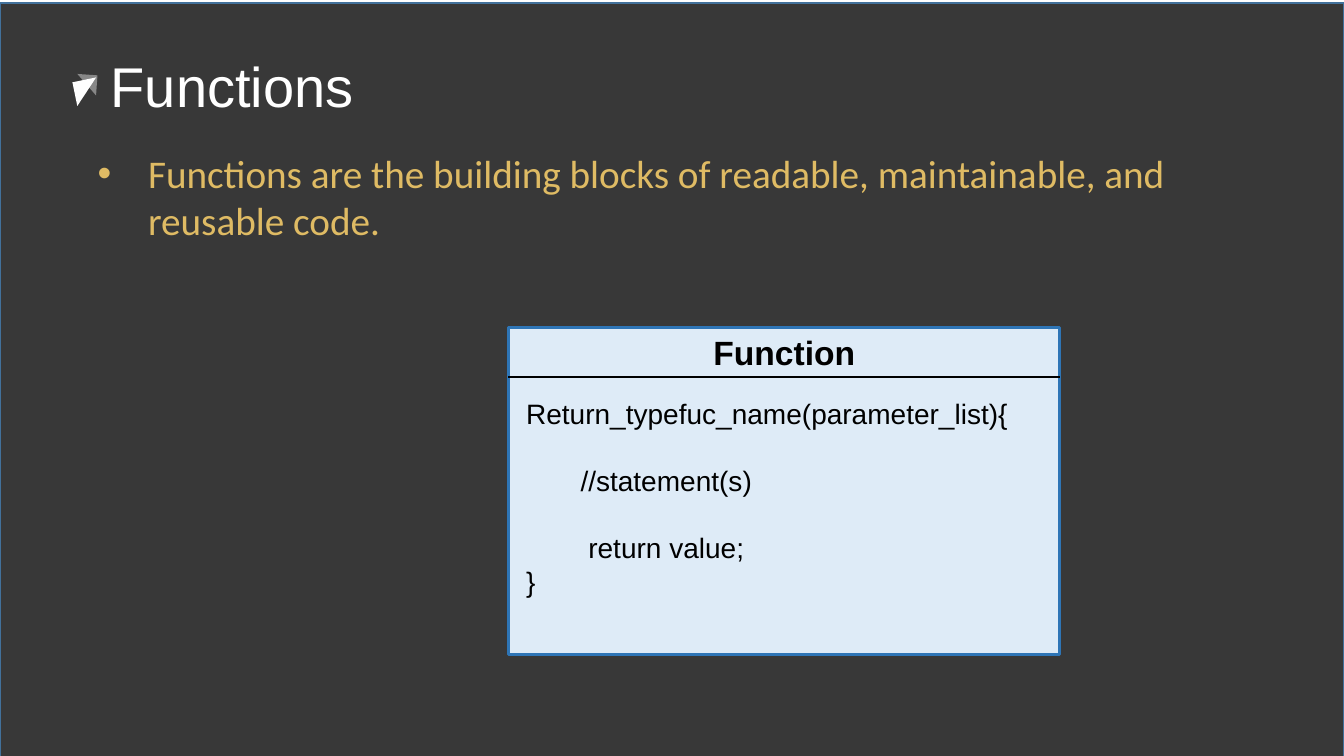
from lxml import etree
from pptx import Presentation
from pptx import util as u
from pptx.dml.color import RGBColor
from pptx.enum import shapes, text
from pptx.oxml import ns

TITLE = "Functions"
BULLET = "Functions are the building blocks of readable, maintainable, and reusable code."
CARD_TITLE = "Function"
CODE = [
    ("Return_typefuc_name(parameter_list){", 0),
    ("       //statement(s)", 24),
    ("        return value;", 24),
    ("}", 0),
]
MARKERS = [
    ((0.74, 0.79, 0.24, 0.24), 78.4, None),
    ((0.76, 0.74, 0.2, 0.2), 184, 40),
]
THEME = {
    "back": "383838", "back_line": "42719B", "gold": "DFBB64", "white": "FFFFFF",
    "card": "DEEBF7", "card_line": "2E75B6", "ink": "000000",
    "head_font": "Arial", "body_font": "Calibri",
    "title": 40, "body": 28, "card_title": 24, "code": 20,
}
CARD = (5.04, 3.25, 5.47, 3.24)
HEADER_HEIGHT = 0.49


def color(name):
    return RGBColor.from_string(THEME[name])


def add_child(parent, tag, **attributes):
    return etree.SubElement(parent, ns.qn(tag), attributes)


def add_shape(page, kind, place, fill, line=None, width=1):
    shape = page.shapes.add_shape(kind, *map(u.Inches, place))
    shape.shadow.inherit = False
    shape.fill.solid()
    shape.fill.fore_color.rgb = color(fill)
    if line:
        shape.line.color.rgb = color(line)
        shape.line.width = u.Pt(width)
    else:
        shape.line.fill.background()
    return shape


def add_text(page, place, lines, size, ink, font="head_font", bold=False, align=None, bullet=False):
    box = page.shapes.add_textbox(*map(u.Inches, place))
    frame = box.text_frame
    frame.word_wrap = True
    frame.vertical_anchor = text.MSO_ANCHOR.TOP
    for index, (words, gap) in enumerate(lines):
        para = frame.paragraphs[0] if index == 0 else frame.add_paragraph()
        if gap:
            para.space_before = u.Pt(gap)
        if align is not None:
            para.alignment = align
        if bullet:
            settings = para._p.get_or_add_pPr()
            settings.set("marL", str(u.Inches(0.5)))
            settings.set("indent", str(-u.Inches(0.5)))
            add_child(add_child(settings, "a:buClr"), "a:srgbClr", val=THEME[ink])
            add_child(settings, "a:buFont", typeface="Arial")
            add_child(settings, "a:buChar", char="•")
        span = para.add_run()
        span.text = words
        span.font.name = THEME[font]
        span.font.size = u.Pt(THEME[size])
        span.font.bold = bold
        span.font.color.rgb = color(ink)


def add_rule(page, left, right, top):
    rule = page.shapes.add_connector(
        shapes.MSO_CONNECTOR.STRAIGHT, *map(u.Inches, (left, top, right, top)))
    rule.line.color.rgb = color("ink")
    rule.line.width = u.Pt(2)
    add_child(rule._element.spPr, "a:effectLst")


def main():
    deck = Presentation()
    deck.slide_width, deck.slide_height = u.Inches(13.33), u.Inches(7.5)
    page = deck.slides.add_slide(deck.slide_layouts[6])

    rectangle = shapes.MSO_SHAPE.RECTANGLE
    add_shape(page, rectangle, (0, 0.03, 13.33, 7.5), "back", "back_line")
    add_text(page, (0.87, 1.43, 11.71, 1.32), [(BULLET, 0)], "body", "gold",
             font="body_font", bullet=True)
    add_text(page, (1, 0.46, 12.1, 1.07), [(TITLE, 0)], "title", "white")

    for place, turn, opacity in MARKERS:
        marker = add_shape(page, shapes.MSO_SHAPE.RIGHT_TRIANGLE, place, "white")
        marker.rotation = turn
        if opacity:
            tint = marker._element.spPr.find(ns.qn("a:solidFill"))[0]
            add_child(tint, "a:alpha", val=str(opacity * 1000))

    left, top, width, height = CARD
    add_shape(page, rectangle, CARD, "card", "card_line", 2)
    add_rule(page, left, left + width, top + HEADER_HEIGHT)
    add_text(page, (6.16, 3.24, 3.24, 0.5), [(CARD_TITLE, 0)], "card_title", "ink",
             bold=True, align=text.PP_ALIGN.CENTER)
    add_text(page, (5.12, 3.88, 5.24, 2.44), CODE, "code", "ink")

    deck.save("out.pptx")


if __name__ == "__main__":
    main()
